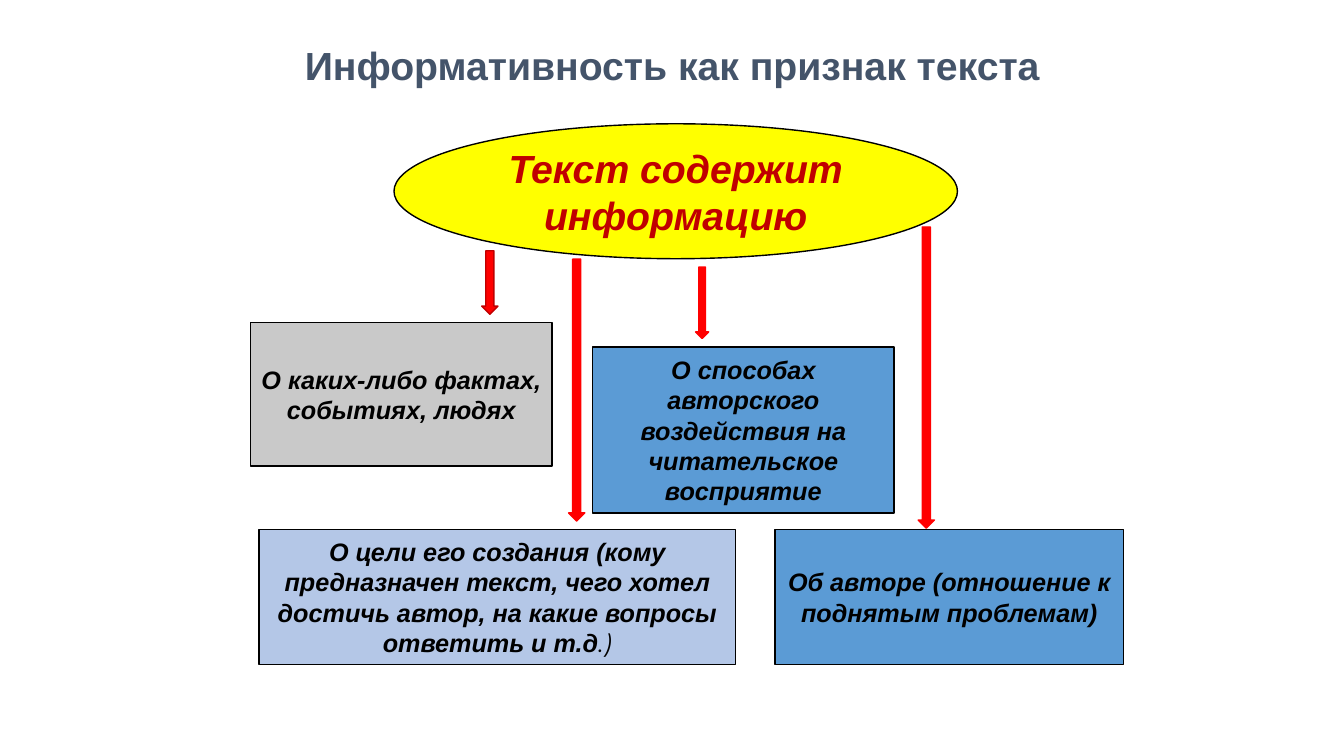
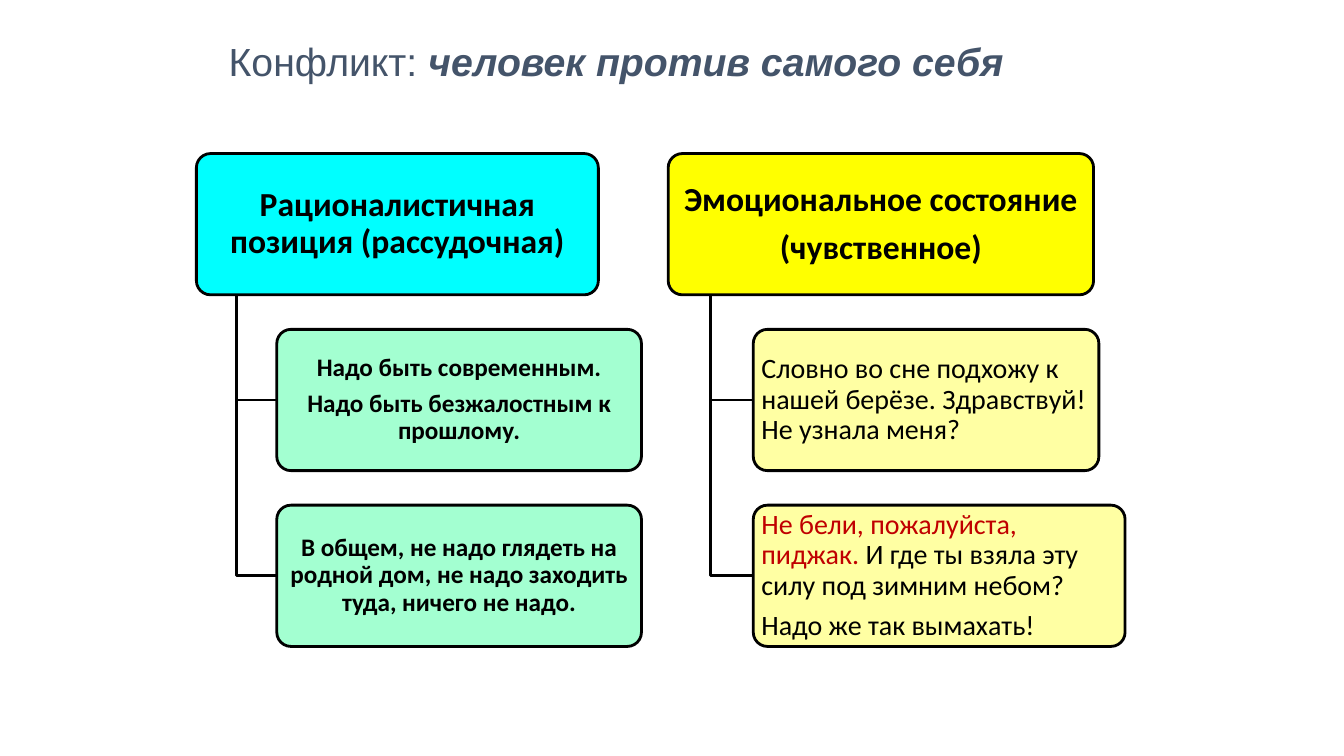
from lxml.etree import SubElement
from pptx import Presentation
from pptx.dml.color import RGBColor
from pptx.enum.shapes import MSO_SHAPE as Geo
from pptx.enum.text import MSO_ANCHOR as Anchor, MSO_AUTO_SIZE as Auto, PP_ALIGN as Align
from pptx.oxml.ns import qn
from pptx.util import Cm, Pt

BLACK = RGBColor(0x00, 0x00, 0x00)
SLATE = RGBColor(0x44, 0x54, 0x6A)
RED = RGBColor(0xFF, 0x00, 0x00)
WINE = RGBColor(0xC0, 0x00, 0x00)
YELLOW = RGBColor(0xFF, 0xFF, 0x00)
CREAM = RGBColor(0xFF, 0xFF, 0x99)
CYAN = RGBColor(0x00, 0xFF, 0xFF)
MINT = RGBColor(0x99, 0xFF, 0xCC)
GREY = RGBColor(0xC9, 0xC9, 0xC9)
BLUE = RGBColor(0x5B, 0x9B, 0xD5)
PALE = RGBColor(0xB4, 0xC7, 0xE7)

# Content: a text is a list of paragraphs, a paragraph a list of (words, font changes)
TITLE1 = [("Информативность как признак текста", {"bold": True})]
TITLE2 = [("Конфликт:", {}),
          (" человек против самого себя", {"bold": True, "italic": True})]

TOPIC = [("Текст содержит информацию", {})]
# Fill, place in cm, words
BOXES = [
    (GREY, (6.32, 8.13, 7.59, 3.61), [("О каких-либо фактах, событиях, людях", {})]),
    (BLUE, (14.94, 8.74, 7.59, 4.19),
     [("О способах авторского воздействия на читательское восприятие", {})]),
    (BLUE, (19.53, 13.34, 8.79, 3.4),
     [("Об авторе (отношение к поднятым проблемам)", {})]),
    (PALE, (6.53, 13.34, 12.01, 3.4),
     [("О цели его создания (кому предназначен текст, чего хотел достичь автор, "
       "на какие вопросы ответить и т.д", {}),
      (".)", {"name": "Montserrat", "bold": False})]),
]
# Line colour, place in cm
ARROWS = [
    (WINE, (12.14, 6.32, 0.41, 1.6)),
    (RED, (17.53, 6.73, 0.33, 1.8)),
    (RED, (23.14, 5.72, 0.41, 7.59)),
    (RED, (14.33, 6.53, 0.41, 6.6)),
]

TREES = [
    dict(left=4.95, width=10.13, fill=CYAN, leaf=MINT,
         head=[[("Рационалистичная позиция (рассудочная)", {})]],
         look=dict(size=18, bold=True),
         leaves=[
             (9.19, [[("Надо быть современным.", {})],
                     [("Надо быть безжалостным к прошлому.", {})]]),
             (9.19, [[("В общем, не надо глядеть на родной дом, не надо заходить "
                       "туда, ничего не надо.", {})]]),
         ]),
    dict(left=16.84, width=10.72, fill=YELLOW, leaf=CREAM,
         head=[[("Эмоциональное состояние", {})], [("(чувственное)", {})]],
         look=dict(size=20, align=Align.LEFT),
         leaves=[
             (8.71, [[("Словно во сне подхожу к нашей берёзе. Здравствуй! "
                       "Не узнала меня?", {})]]),
             (9.37, [[("Не бели, пожалуйста, пиджак. ", {"color": WINE}),
                      ("И где ты взяла эту силу под зимним небом?", {})],
                     [("Надо же так вымахать!", {})]]),
         ]),
]
TOP, PITCH, HIGH = 3.87, 4.43, 3.56


def style(font, **look):
    color = look.pop("color", None)
    if color is not None:
        font.color.rgb = color
    for key, val in look.items():
        setattr(font, key, Pt(val) if key == "size" else val)


def write(frame, paras, align=Align.CENTER, space=None, **look):
    frame.word_wrap = True
    frame.vertical_anchor = Anchor.MIDDLE
    for i, runs in enumerate(paras):
        para = frame.add_paragraph() if i else frame.paragraphs[0]
        para.alignment = align
        if space:
            para.line_spacing = space
            para.space_after = Pt(look["size"] * 0.35)
        style(para.font, **look)
        for words, diff in runs:
            run = para.add_run()
            run.text = words
            style(run.font, **diff)


def start(deck, runs, high, align):
    slide = deck.slides.add_slide(deck.slide_layouts[5])
    title = slide.shapes.title
    title.left, title.top, title.width, title.height = map(Cm, (5.51, 0.76, 22.86, high))
    title.text_frame.auto_size = Auto.NONE
    write(title.text_frame, [runs], align, size=28, name="Arial", color=SLATE)
    return slide


def draw(slide, geo, place, fill, line=BLACK, weight=1):
    shape = slide.shapes.add_shape(geo, *map(Cm, place))
    shape.shadow.inherit = False
    shape.fill.solid()
    shape.fill.fore_color.rgb = fill
    shape.line.color.rgb = line
    shape.line.width = Pt(weight)
    return shape


def card(slide, place, fill, paras, inset, **look):
    shape = draw(slide, Geo.ROUNDED_RECTANGLE, place, fill, weight=2)
    shape.adjustments[0] = 0.1
    frame = shape.text_frame
    frame.margin_left = frame.margin_right = Cm(inset)
    frame.margin_top = frame.margin_bottom = Cm(0.08)
    write(frame, paras, space=0.9, name="Calibri", color=BLACK, **look)
    return shape


def fade(shape, percent):
    color = shape.fill._xPr.find(qn("a:solidFill"))[0]
    SubElement(color, qn("a:alpha")).set("val", str(percent * 1000))


def branch(slide, x, top, end, low):
    pen = slide.shapes.build_freeform(Cm(x), Cm(top))
    pen.add_line_segments([(Cm(x), Cm(low)), (Cm(end), Cm(low))], close=False)
    line = pen.convert_to_shape()
    line.shadow.inherit = False
    line.fill.background()
    line.line.color.rgb = BLACK
    line.line.width = Pt(2)


def facts(deck):
    slide = start(deck, TITLE1, 1.75, Align.CENTER)
    bold = dict(name="Arial", bold=True, italic=True)
    oval = draw(slide, Geo.OVAL, (9.93, 3.12, 14.2, 3.4), YELLOW)
    write(oval.text_frame, [TOPIC], size=28, color=WINE, **bold)
    for fill, place, runs in BOXES:
        box = draw(slide, Geo.RECTANGLE, place, fill)
        write(box.text_frame, [runs], size=18, color=BLACK, **bold)
    for line, place in ARROWS:
        draw(slide, Geo.DOWN_ARROW, place, RED, line)


def conflict(deck):
    slide = start(deck, TITLE2, 1.55, Align.LEFT)
    for tree in TREES:
        left, width = tree["left"], tree["width"]
        card(slide, (left, TOP, width, HIGH), tree["fill"], tree["head"], 0.13,
             size=24, bold=True)
        # Trunk and leaves stand one and two tenths into the head
        trunk, edge = left + width * 0.1, left + width * 0.2
        for i, (wide, paras) in enumerate(tree["leaves"], 1):
            top = TOP + PITCH * i
            branch(slide, trunk, TOP + HIGH, edge, top + HIGH / 2)
            leaf = card(slide, (edge, top, wide, HIGH), tree["leaf"], paras, 0.1,
                        **tree["look"])
            fade(leaf, 90)


def main():
    deck = Presentation()
    deck.slide_width, deck.slide_height = Cm(33.87), Cm(19.05)
    facts(deck)
    conflict(deck)
    deck.save("out.pptx")


if __name__ == "__main__":
    main()
